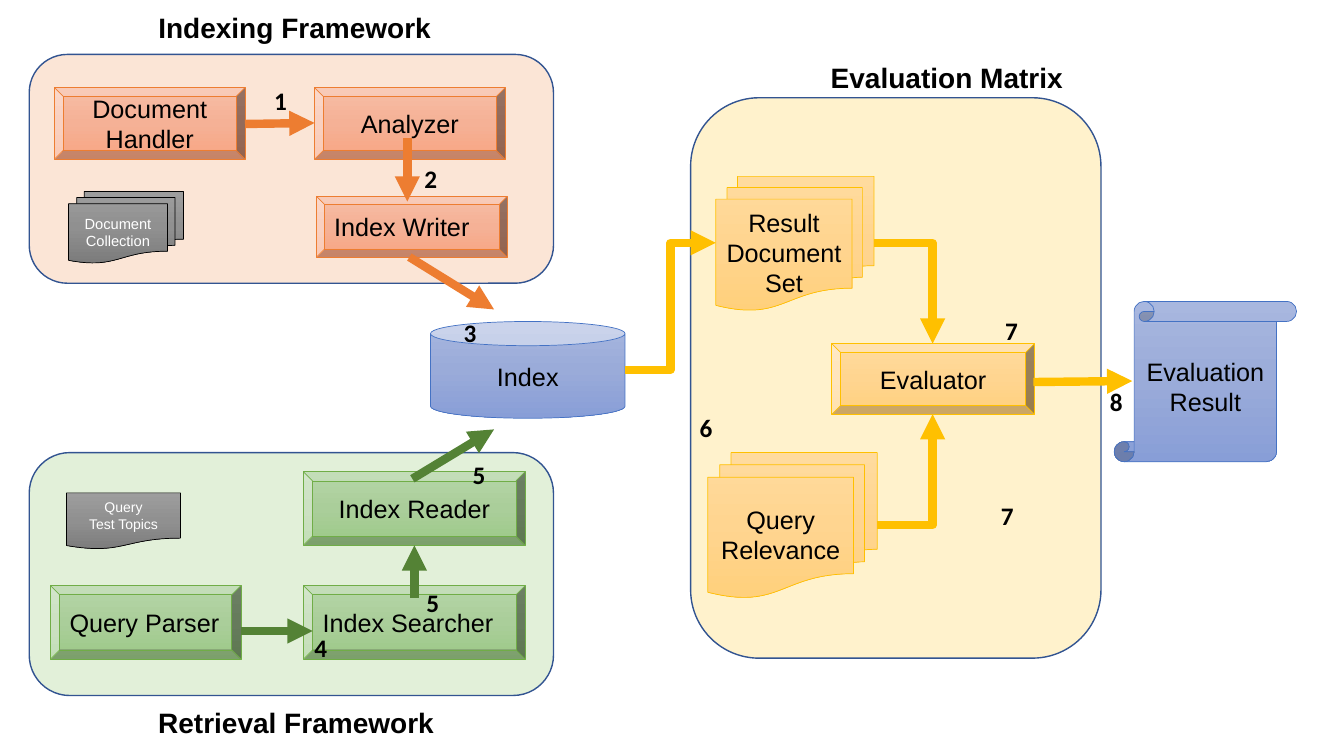
from copy import deepcopy

from lxml import etree
from pptx import Presentation
from pptx.dml.color import RGBColor
from pptx.enum.shapes import MSO_CONNECTOR, MSO_SHAPE
from pptx.enum.text import MSO_ANCHOR, MSO_AUTO_SIZE, PP_ALIGN
from pptx.oxml.ns import qn
from pptx.util import Inches, Pt

COLORS = {
    "text": "000000", "light_text": "FFFFFF", "panel_line": "325491",
    "evaluation_panel": "FFF2CC", "retrieval_panel": "E2F0D9", "indexing_panel": "FBE5D6",
    "orange": "ED7D31", "green": "70AD47", "dark_green": "548235",
    "gold": "FFC000", "blue": "4472C4", "black": "000000",
}
# Gradient stops by the colour of the outline
GRADIENTS = {
    "orange": ("F7BDA5", "F5B196", "F8A582"),
    "green": ("B5D5A7", "AACE9A", "9CC987"),
    "gold": ("FFDB9E", "FFD590", "FFD07C"),
    "blue": ("A8B7DF", "9AABD9", "889ED7"),
    "black": ("9D9D9D", "909090", "7C7C7C"),
}


def rgb(name):
    return RGBColor.from_string(COLORS[name])


class Diagram:
    def __init__(self, slide, font="Arial", number_font="Calibri"):
        self.slide = slide
        self.font = font
        self.number_font = number_font

    def set_text(self, tf, text, size, color="text", bold=False, align=PP_ALIGN.LEFT, font=None):
        tf.text = text
        for p in tf.paragraphs:
            p.alignment = align
            for r in p.runs:
                r.font.name = font or self.font
                r.font.size = Pt(size)
                r.font.bold = bold
                r.font.color.rgb = rgb(color)

    def shape(self, kind, box, line, width):
        sp = self.slide.shapes.add_shape(kind, *map(Inches, box))
        sp.shadow.inherit = False
        sp.line.color.rgb = rgb(line)
        sp.line.width = Pt(width)
        return sp

    def panel(self, box, fill):
        sp = self.shape(MSO_SHAPE.ROUNDED_RECTANGLE, box, "panel_line", 1)
        sp.fill.solid()
        sp.fill.fore_color.rgb = rgb(fill)

    def node(self, kind, box, text, color, size=18, align=PP_ALIGN.CENTER):
        sp = self.shape(kind, box, color, 0.5)
        sp.fill.gradient()
        sp.fill.gradient_angle = 270
        stop_list = sp._element.spPr.find(".//" + qn("a:gsLst"))
        stop_list.insert(1, deepcopy(stop_list[0]))
        for i, (stop, shade) in enumerate(zip(sp.fill.gradient_stops, GRADIENTS[color])):
            stop.color.rgb = RGBColor.from_string(shade)
            stop.position = i / 2
        tf = sp.text_frame
        tf.word_wrap = True
        tf.vertical_anchor = MSO_ANCHOR.MIDDLE
        if align == PP_ALIGN.CENTER:
            tf.margin_left = tf.margin_right = Inches(0.05)
        self.set_text(tf, text, size, "light_text" if color == "black" else "text", align=align)

    def arrow(self, start, end, color, bend=None):
        kind = MSO_CONNECTOR.ELBOW if bend else MSO_CONNECTOR.STRAIGHT
        cxn = self.slide.shapes.add_connector(kind, *map(Inches, start + end))
        cxn.line.color.rgb = rgb(color)
        cxn.line.width = Pt(6)
        sp_pr = cxn._element.spPr
        if bend:
            sp_pr.find(qn("a:prstGeom")).set("prst", bend)
        etree.SubElement(sp_pr.find(qn("a:ln")), qn("a:tailEnd"), type="triangle")
        etree.SubElement(sp_pr, qn("a:effectLst"))

    def heading(self, box, text, sp=None):
        sp = sp or self.slide.shapes.add_textbox(0, 0, 0, 0)
        sp.left, sp.top, sp.width, sp.height = map(Inches, box)
        tf = sp.text_frame
        tf.word_wrap = True
        tf.auto_size = MSO_AUTO_SIZE.NONE
        tf.vertical_anchor = MSO_ANCHOR.TOP
        self.set_text(tf, text, 20, bold=True)

    def number(self, left, top, text):
        sp = self.slide.shapes.add_textbox(*map(Inches, (left, top, 0.43, 0.4)))
        sp.text_frame.word_wrap = True
        self.set_text(sp.text_frame, text, 18, bold=True, font=self.number_font)


def main():
    prs = Presentation()
    prs.slide_width, prs.slide_height = Inches(13.33), Inches(7.5)
    s = prs.slides.add_slide(prs.slide_layouts[5])
    d = Diagram(s)

    # Panels
    d.panel((6.85, 0.97, 4.07, 5.56), "evaluation_panel")
    d.panel((0.29, 4.49, 5.2, 2.41), "retrieval_panel")
    d.panel((0.29, 0.54, 5.2, 2.27), "indexing_panel")

    # Processing steps
    for box, text, color, align in (
        ((0.54, 0.87, 1.89, 0.71), "Document Handler", "orange", PP_ALIGN.CENTER),
        ((3.12, 0.87, 1.89, 0.71), "Analyzer", "orange", PP_ALIGN.CENTER),
        ((3.14, 1.95, 1.89, 0.6), "Index Writer", "orange", PP_ALIGN.LEFT),
        ((3.01, 4.68, 2.2, 0.73), "Index Reader", "green", PP_ALIGN.CENTER),
        ((3.01, 5.81, 2.2, 0.73), "Index Searcher", "green", PP_ALIGN.LEFT),
        ((0.5, 5.81, 1.89, 0.73), "Query Parser", "green", PP_ALIGN.LEFT),
        ((8.25, 3.41, 2.01, 0.7), "Evaluator", "gold", PP_ALIGN.CENTER),
    ):
        d.node(MSO_SHAPE.BEVEL, box, text, color, align=align)

    # Stores and documents
    multi = MSO_SHAPE.FLOWCHART_MULTIDOCUMENT
    d.node(MSO_SHAPE.CAN, (4.27, 3.19, 1.93, 0.96), "Index", "blue")
    d.node(multi, (0.68, 1.9, 1.14, 0.71), "Document Collection", "black", 10.5)
    d.node(MSO_SHAPE.FLOWCHART_DOCUMENT, (0.66, 4.89, 1.13, 0.56),
           "Query\nTest Topics", "black", 10)
    d.node(multi, (7.1, 1.75, 1.57, 1.33), "Result Document Set", "gold")
    d.node(multi, (7.02, 4.49, 1.68, 1.44), "Query Relevance", "gold")
    d.node(MSO_SHAPE.VERTICAL_SCROLL, (11.05, 2.99, 1.81, 1.59), "Evaluation Result", "blue")

    # Arrows
    for start, end, color, bend in (
        ((2.43, 1.23), (3.12, 1.22), "orange", None),
        ((4.04, 1.37), (4.04, 2), "orange", None),
        ((4.06, 2.55), (4.9, 3.07), "orange", None),
        ((2.39, 6.26), (3.1, 6.26), "dark_green", None),
        ((4.11, 5.93), (4.11, 5.41), "dark_green", None),
        ((4.09, 4.75), (4.9, 4.26), "dark_green", None),
        ((8.67, 2.41), (9.25, 3.41), "gold", "bentConnector2"),
        ((8.7, 5.21), (9.25, 4.11), "gold", "bentConnector2"),
        ((10.25, 3.79), (11.23, 3.78), "gold", None),
        ((6.2, 3.67), (7.1, 2.41), "gold", "bentConnector3"),
    ):
        d.arrow(start, end, color, bend)

    # Headings
    d.heading((1.47, 0.05, 3.23, 0.44), "Indexing Framework", s.shapes.title)
    d.heading((1.47, 6.95, 4.96, 0.44), "Retrieval Framework")
    d.heading((8.14, 0.55, 2.55, 0.44), "Evaluation Matrix")

    # Step numbers
    for left, top, text in (
        (2.62, 0.8, "1"), (4.11, 1.57, "2"), (4.5, 3.1, "3"), (3.02, 6.22, "4"),
        (4.13, 5.78, "5"), (4.59, 4.51, "5"), (6.84, 4.04, "6"), (9.87, 3.08, "7"),
        (9.83, 4.91, "7"), (10.91, 3.78, "8"),
    ):
        d.number(left, top, text)

    prs.save("out.pptx")


if __name__ == "__main__":
    main()
